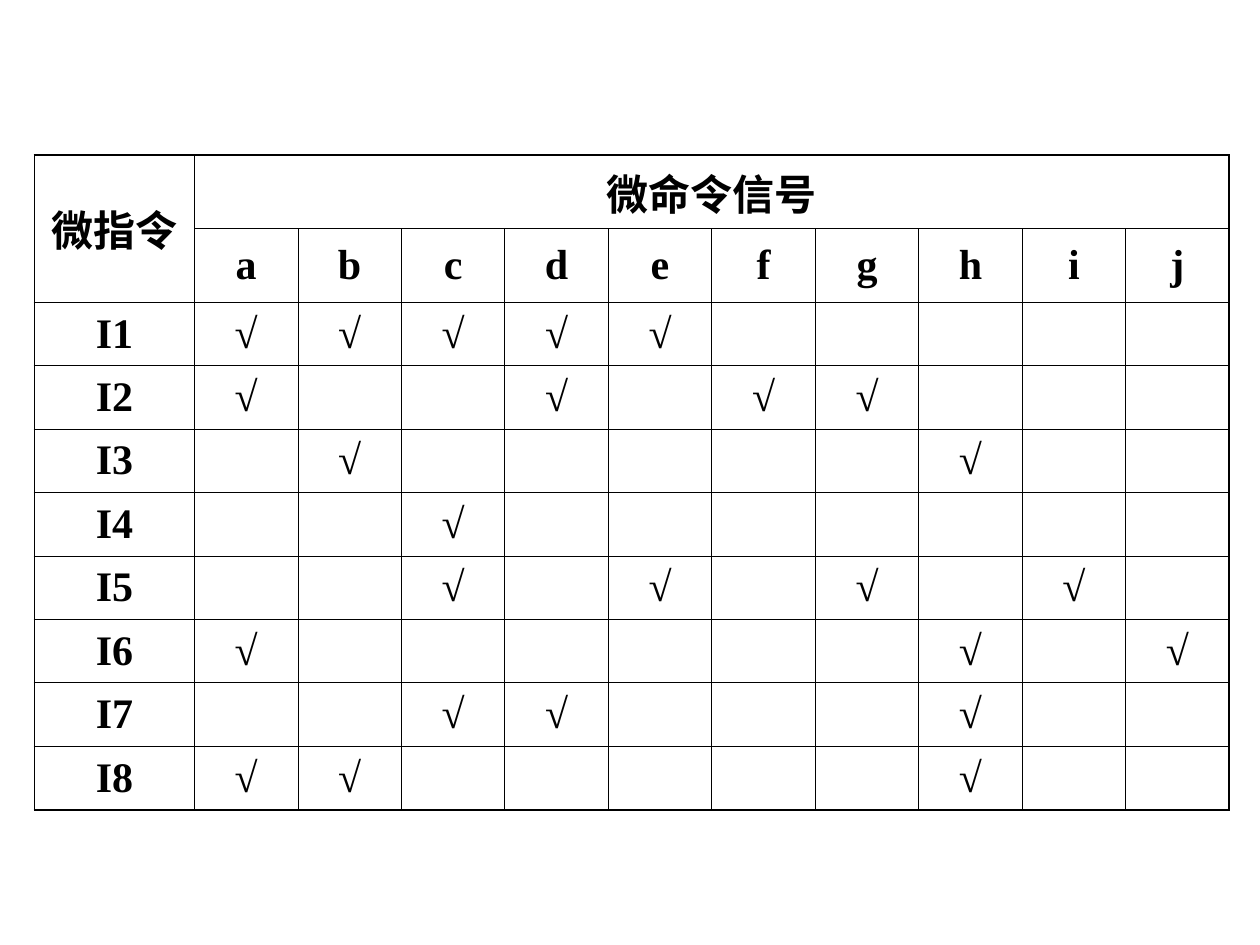
"""Build a slide with the table of micro-instructions and their micro-command signals."""
from dataclasses import dataclass

from lxml.etree import SubElement
from pptx import Presentation
from pptx.dml.color import RGBColor
from pptx.enum.text import MSO_ANCHOR as Anchor, PP_ALIGN as Align
from pptx.oxml.ns import qn
from pptx.util import Inches, Pt


@dataclass(frozen=True)
class Theme:
    ink: str = "000000"
    font: str = "Times New Roman"
    size: int = 24
    thin: float = 0.45
    thick: float = 1.08


theme = Theme()
PX = Inches(1) // 252

SIGNALS = "abcdefghij"
MICRO_INSTRUCTIONS = {
    "I1": "abcde",
    "I2": "adfg",
    "I3": "bh",
    "I4": "c",
    "I5": "cegi",
    "I6": "ahj",
    "I7": "cdh",
    "I8": "abh",
}
LEFT, TOP = 69, 310
COLUMNS = [320] + [207] * len(SIGNALS)
ROWS = [147] * 2 + [127] * len(MICRO_INSTRUCTIONS)

TEXT_FORMAT = {
    "name": theme.font,
    "size": Pt(theme.size),
    "bold": True,
}


def add_border(cell, side, width):
    line = SubElement(cell._tc.get_or_add_tcPr(), qn(f"a:ln{side}"), w=str(Pt(width)))
    fill = SubElement(line, qn("a:solidFill"))
    SubElement(fill, qn("a:srgbClr"), val=theme.ink)


deck = Presentation()
deck.slide_width, deck.slide_height = Inches(10), Inches(7.5)
page = deck.slides.add_slide(deck.slide_layouts[6])

frame = page.shapes.add_table(
    len(ROWS), len(COLUMNS), LEFT * PX, TOP * PX, sum(COLUMNS) * PX, sum(ROWS) * PX
)
table = frame.table
table.first_row = table.horz_banding = False
for column, width in zip(table.columns, COLUMNS):
    column.width = width * PX
for row, height in zip(table.rows, ROWS):
    row.height = height * PX

table.cell(0, 0).merge(table.cell(1, 0))
table.cell(0, 1).merge(table.cell(0, len(SIGNALS)))

content = [["微指令", "微命令信号"] + [""] * (len(SIGNALS) - 1), ["", *SIGNALS]]
for name, active in MICRO_INSTRUCTIONS.items():
    content.append([name] + ["√" if signal in active else "" for signal in SIGNALS])

for row_index, texts in enumerate(content):
    for column_index, text in enumerate(texts):
        cell = table.cell(row_index, column_index)
        outer_sides = {
            "L": column_index == 0,
            "R": column_index + cell.span_width == len(COLUMNS),
            "T": row_index == 0,
            "B": row_index + cell.span_height == len(ROWS),
        }
        for side, is_outer in outer_sides.items():
            add_border(cell, side, theme.thick if is_outer else theme.thin)
        cell.fill.background()
        cell.vertical_anchor = Anchor.MIDDLE
        if text:
            para = cell.text_frame.paragraphs[0]
            para.alignment = Align.CENTER
            span = para.add_run()
            span.text = text
            for attribute, value in TEXT_FORMAT.items():
                setattr(span.font, attribute, value)
            span.font.color.rgb = RGBColor.from_string(theme.ink)

deck.save("out.pptx")
